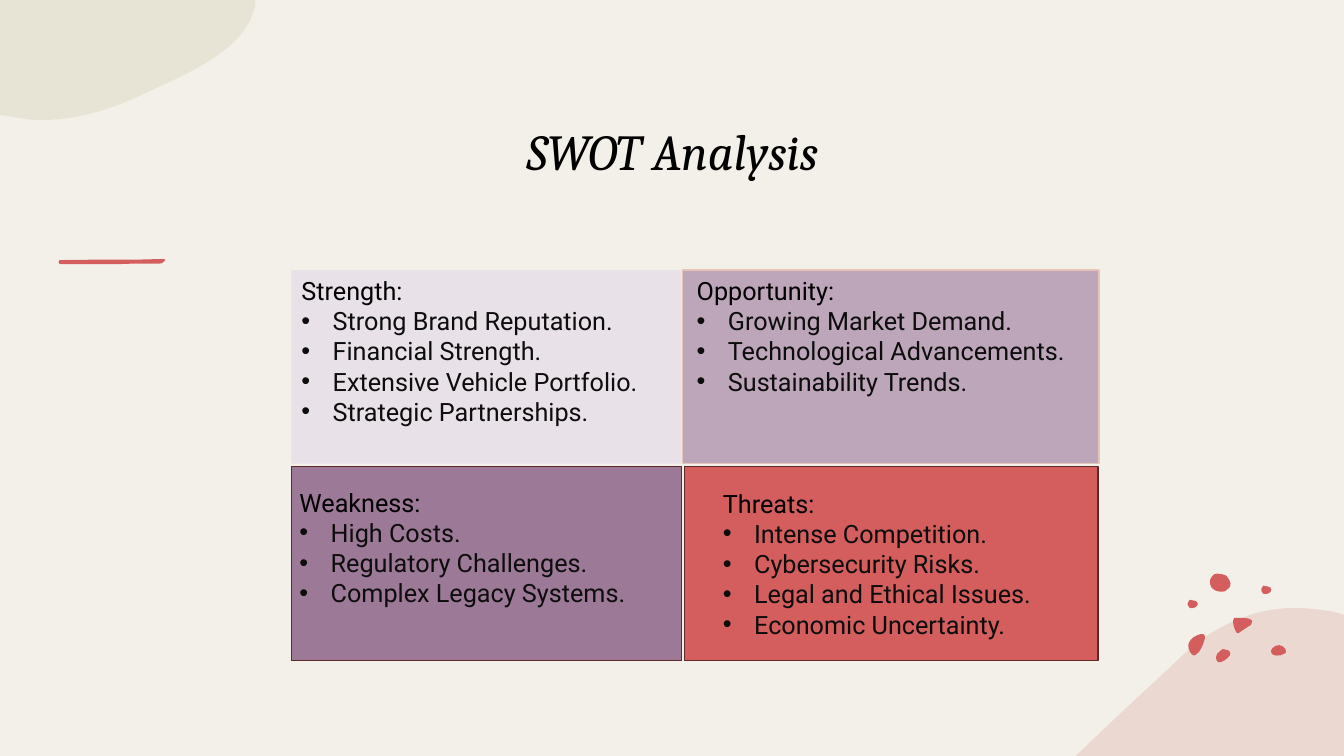
from lxml import etree
from pptx import Presentation
from pptx.dml.color import RGBColor
from pptx.enum.shapes import MSO_SHAPE
from pptx.enum.text import MSO_ANCHOR, MSO_AUTO_SIZE, PP_ALIGN
from pptx.oxml.ns import qn
from pptx.util import Inches, Pt

RECT = MSO_SHAPE.RECTANGLE
TOP, BOTTOM = MSO_ANCHOR.TOP, MSO_ANCHOR.BOTTOM
LEFT, CENTER = PP_ALIGN.LEFT, PP_ALIGN.CENTER
FIXED = MSO_AUTO_SIZE.NONE
PAPER, RED, PINK, SAGE = "F3F0E9", "D45E5E", "E5C4BA", "DCD9C3"
BLACK, INK, MAROON = "000000", "0D0D0D", "5D2929"

# Outlines are in hundredths of an inch: pairs are lines, sixes are curves.
SAGE_EDGE = [(0, 0), (253, 0), (253, 6), (245, 44, 200, 67, 158, 86),
             (123, 103, 86, 119, 41, 119), (31, 119, 22, 118, 13, 116), (0, 114), (0, 0)]
PINK_EDGE = [(221, 0), (234, 1, 247, 2, 260, 5), (266, 7), (266, 147), (0, 147),
             (1, 146), (35, 113, 70, 81, 102, 51), (124, 29, 147, 16, 170, 8),
             (187, 2, 204, 0, 221, 0)]
DASH = [(28, 5), (60, 5), (75, 4.5), (91, 4.5), (99, 4.5),
        (105, 5, 103, 2, 106, 1), (105, 0), (99, 0), (75, 0.7), (30, 0.7), (1, 1),
        (0, 2, -1, 5, 3, 5), (28, 5)]
BEAN = [(7, 0), (9, 0, 10, 0, 12, 1), (14, 2, 15, 4, 14, 6), (12, 9, 6, 14, 2, 13),
        (1, 12, 0, 10, 0, 8), (0, 6, 2, 3, 4, 2), (5, 1, 6, 0, 7, 0)]
DROP = [(12, 0), (14, 0, 16, 0, 16, 2), (16, 3, 16, 3, 16, 4), (15, 9, 13, 14, 10, 18),
        (8, 20, 5, 23, 3, 20), (0, 17, -1, 12, 0, 9), (1, 6, 3, 5, 5, 3), (6, 3, 9, 0, 12, 0)]
OVAL = [(8, 0), (10, 0, 13, 2, 14, 4), (15, 6, 15, 8, 12, 9), (9, 11, 1, 11, 0, 8),
        (-1, 6, 0, 4, 1, 3), (3, 1, 5, 0, 8, 0)]
ROCK = [(1, 12), (0, 12, -1, 6, 2, 3), (4, 1, 4, 0, 7, 0), (10, 0, 14, 1, 16, 2),
        (18, 4, 22, 9, 20, 13), (17, 16, 16, 18, 12, 18), (9, 18, 4, 17, 3, 15),
        (1, 14, 1, 13, 1, 12)]
SEED = [(0, 5), (0, 5, 0, 1, 2, 0), (4, 0, 5, 0, 7, 1), (8, 1, 10, 2, 10, 4),
        (10, 5, 9, 7, 8, 7), (8, 7, 8, 8, 6, 8), (5, 8, 3, 9, 2, 8), (1, 6, 0, 6, 0, 5)]
WEDGE = [(5, 0), (11, 0, 22, 0, 18, 6), (18, 7, 17, 8, 16, 8), (13, 10, 10, 12, 7, 14),
         (6, 15, 5, 16, 4, 15), (4, 15, 3, 14, 3, 14), (1, 10, 0, 7, 0, 3),
         (0, 2, 0, 1, 1, 0), (1, 0, 2, 0, 2, 0), (3, 0, 4, 0, 5, 0)]
DOTS = [(0.28, 0.75, BEAN), (0.01, 0.6, DROP), (0.83, 0.71, OVAL), (0.22, 0, ROCK),
        (0.73, 0.12, SEED), (0, 0.26, SEED), (0.45, 0.44, WEDGE)]

TILES = [((6.79, 4.63, 4.1, 1.92), RED, MAROON),
         ((2.89, 4.63, 3.87, 1.92), "9C7996", MAROON),
         ((6.77, 2.68, 4.13, 1.92), "BDA6B9", PINK)]
LISTS = [
    ((2.89, 2.68, 3.87, 1.92), "E9E1E8", "Strength:",
     ["Strong Brand Reputation.", "Financial Strength.",
      "Extensive Vehicle Portfolio.", "Strategic Partnerships."]),
    ((2.87, 4.78, 3.67, 1.31), None, "Weakness:",
     ["High Costs.", "Regulatory Challenges.", "Complex Legacy Systems."]),
    ((6.81, 2.68, 3.87, 1.62), None, "Opportunity:",
     ["Growing Market Demand.", "Technological Advancements.", "Sustainability Trends."]),
    ((7.07, 4.79, 3.67, 1.62), None, "Threats:",
     ["Intense Competition.", "Cybersecurity Risks.",
      "Legal and Ethical Issues.", "Economic Uncertainty."]),
]


def paint(fill, color):
    """Make a fill solid in a hex color."""
    fill.solid()
    fill.fore_color.rgb = RGBColor.from_string(color)


def place(shape, left, top, width, height):
    """Move a shape to a box in inches."""
    shape.left, shape.top = Inches(left), Inches(top)
    shape.width, shape.height = Inches(width), Inches(height)


def sink(slide, shape):
    """Put a shape behind the title and lists."""
    slide.shapes.title._element.addprevious(shape._element)


def style(para, size, font, color, italic=False):
    """Format the runs of a paragraph."""
    for run in para.runs:
        run.font.size, run.font.name = Pt(size), font
        run.font.bold, run.font.italic = False, italic
        run.font.color.rgb = RGBColor.from_string(color)


def bend(shape, outline):
    """Merge each three line ends of a curve into one Bezier."""
    lines = iter(list(shape._element.iter(qn("a:lnTo"))))
    for part in outline[1:]:
        ends = [next(lines) for _ in range(len(part) // 2)]
        if len(ends) == 3:
            curve = etree.Element(qn("a:cubicBezTo"))
            ends[0].addprevious(curve)
            for end in ends:
                curve.append(end[0])
                end.getparent().remove(end)


def blob(slide, left, top, outline, color, alpha=None):
    """Draw an outline from a corner, in one color."""
    points = [(Inches(left + part[i] / 100), Inches(top + part[i + 1] / 100))
              for part in outline for i in range(0, len(part), 2)]
    pen = slide.shapes.build_freeform(*points[0])
    pen.add_line_segments(points[1:], close=False)
    shape = pen.convert_to_shape()
    bend(shape, outline)
    shape.shadow.inherit = False
    paint(shape.fill, color)
    shape.line.fill.background()
    if alpha:
        tint = next(shape._element.spPr.iter(qn("a:srgbClr")))
        etree.SubElement(tint, qn("a:alpha")).set("val", str(alpha * 1000))
    sink(slide, shape)


def spray(slide, left, top):
    """Scatter the red dots from a corner."""
    for x, y, outline in DOTS:
        blob(slide, left + x, top + y, outline, RED)


def tile(slide, box, color, edge):
    """Draw one quadrant of the grid."""
    shape = slide.shapes.add_shape(RECT, *[Inches(size) for size in box])
    shape.shadow.inherit = False
    paint(shape.fill, color)
    paint(shape.line.fill, edge)
    shape.line.width = Pt(1)
    sink(slide, shape)


def head(shape, left, top, width, height):
    """Set the slide title in its box."""
    place(shape, left, top, width, height)
    frame = shape.text_frame
    frame.text = "SWOT Analysis"
    frame.auto_size, frame.vertical_anchor = FIXED, BOTTOM
    frame.paragraphs[0].alignment = CENTER
    style(frame.paragraphs[0], 36, "Cambria", BLACK, True)


def points(shape, box, color, name, items):
    """Set a heading and its bullets in a box."""
    place(shape, *box)
    if color:
        paint(shape.fill, color)
    frame = shape.text_frame
    frame.text = "\n".join([name] + items)
    frame.auto_size, frame.vertical_anchor, frame.word_wrap = FIXED, TOP, True
    for i, para in enumerate(frame.paragraphs):
        para.alignment, para.space_before = LEFT, Pt(0)
        style(para, 18, "Roboto", INK if i else BLACK)
        props = para._p.get_or_add_pPr()
        props.set("marL", str(Inches(0.31 if i else 0)))
        props.set("indent", str(Inches(-0.31 if i else 0)))
        if i:
            etree.SubElement(props, qn("a:buFont")).set("typeface", "Arial")
            etree.SubElement(props, qn("a:buChar")).set("char", "•")
        else:
            etree.SubElement(props, qn("a:buNone"))


def main():
    """Build and save the slide."""
    deck = Presentation()
    deck.slide_width, deck.slide_height = Inches(13.33), Inches(7.5)
    slide = deck.slides.add_slide(deck.slide_layouts.get_by_name("Comparison"))
    paint(slide.background.fill, PAPER)
    blob(slide, 10.67, 6.03, PINK_EDGE, PINK, 50)
    spray(slide, 11.78, 5.69)
    blob(slide, 0, 0, SAGE_EDGE, SAGE, 50)
    blob(slide, 0.58, 2.57, DASH, RED)
    for parts in TILES:
        tile(slide, *parts)
    head(slide.shapes.title, 1.16, 0.39, 11.02, 1.45)
    bodies = list(slide.placeholders)[1:]
    for body, parts in zip(bodies, LISTS):
        points(body, *parts)
    deck.save("out.pptx")


if __name__ == "__main__":
    main()
